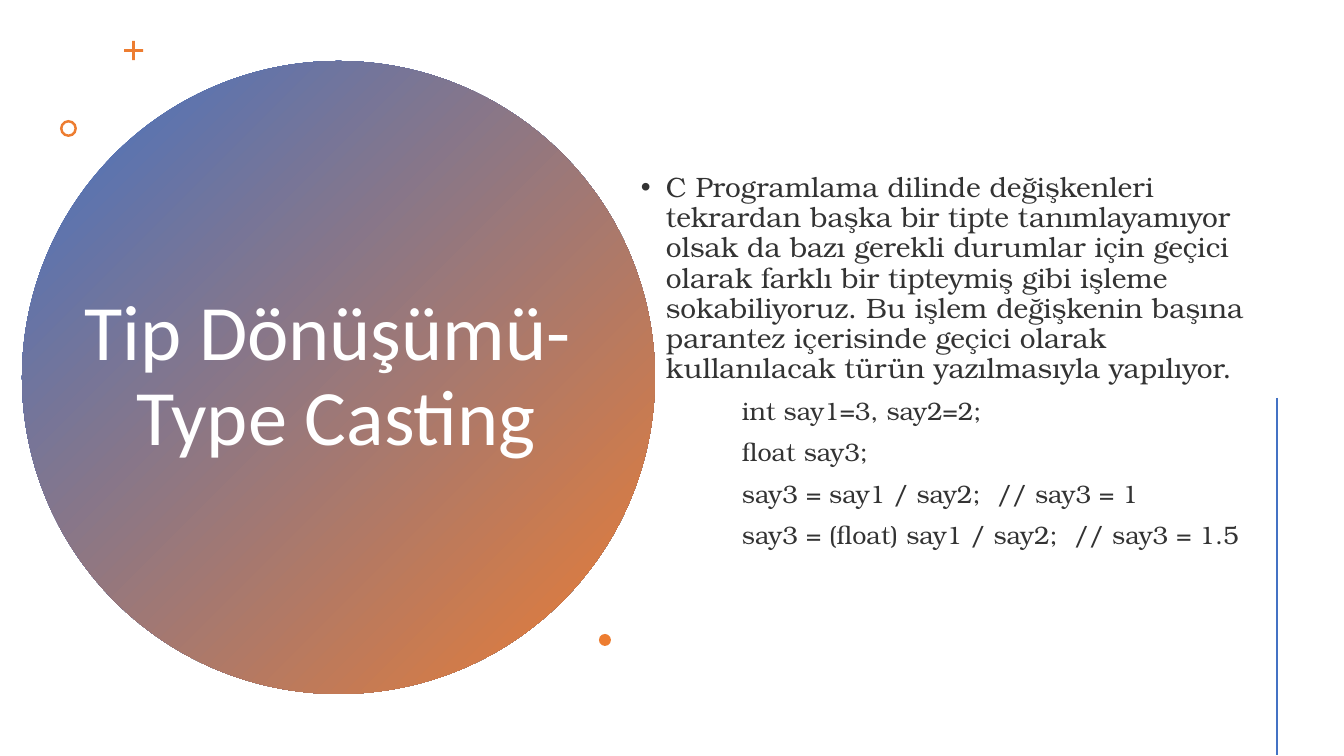
import lxml.etree
import pptx
import pptx.dml.color
import pptx.enum.shapes
import pptx.enum.text
import pptx.oxml.ns
import pptx.util

SHAPES = pptx.enum.shapes.MSO_SHAPE
ALIGN = pptx.enum.text.PP_ALIGN
BLUE, ORANGE, WHITE, INK = "4472C4", "ED7D31", "FFFFFF", "333333"
TITLE_FONT, BODY_FONT = "Calibri", "TeX Gyre Bonum"


def px(length):
    return pptx.util.Emu(round(length * 12192000 / 1344))


def color(hex_code):
    return pptx.dml.color.RGBColor.from_string(hex_code)


class CastingSlide:
    """Holds the style and the current slide, and adds each kind of element."""

    def __init__(self, deck):
        self.slide = deck.slides.add_slide(deck.slide_layouts[5])
        self.shapes = self.slide.shapes

    def shape(self, kind, left, top, size, fill=ORANGE, adjust=None):
        shape = self.shapes.add_shape(kind, px(left), px(top), px(size), px(size))
        shape.shadow.inherit = False
        shape.line.fill.background()
        if isinstance(fill, tuple):
            shape.fill.gradient()
            shape.fill.gradient_angle = 315
            for stop, position, shade in zip(shape.fill.gradient_stops, (0, 1), fill):
                stop.position = position
                stop.color.rgb = color(shade)
        else:
            shape.fill.solid()
            shape.fill.fore_color.rgb = color(fill)
        if adjust is not None:
            shape.adjustments[0] = adjust

    def line(self, start, end, shade, width):
        line = self.shapes.add_connector(
            pptx.enum.shapes.MSO_CONNECTOR.STRAIGHT, *map(px, start + end))
        line.line.color.rgb = color(shade)
        line.line.width = pptx.util.Pt(width)
        lxml.etree.SubElement(line._element.spPr, pptx.oxml.ns.qn("a:effectLst"))

    def frame(self, box, left, top, width, height):
        box.left, box.top, box.width, box.height = map(px, (left, top, width, height))
        frame = box.text_frame
        frame.word_wrap = True
        frame.auto_size = pptx.enum.text.MSO_AUTO_SIZE.NONE
        frame.vertical_anchor = pptx.enum.text.MSO_ANCHOR.MIDDLE
        return frame

    def run(self, paragraph, text, size, font, shade):
        run = paragraph.add_run()
        run.text = text
        run.font.size = pptx.util.Pt(size)
        run.font.name = font
        run.font.color.rgb = color(shade)

    def title(self, lines, *place):
        title = self.shapes.title
        self.shapes._spTree.append(title._element)
        paragraph = self.frame(title, *place).paragraphs[0]
        paragraph.alignment = ALIGN.CENTER
        paragraph.line_spacing = 0.9
        for number, text in enumerate(lines):
            if number:
                paragraph.add_line_break()
            self.run(paragraph, text, 56, TITLE_FONT, WHITE)

    def body(self, explanation, code, *place):
        frame = self.frame(self.shapes.add_textbox(0, 0, 0, 0), *place)
        for number, text in enumerate([explanation] + code):
            paragraph = frame.add_paragraph() if number else frame.paragraphs[0]
            paragraph.alignment = ALIGN.LEFT
            paragraph.line_spacing = 0.9
            paragraph.space_before = pptx.util.Pt(10)
            self.run(paragraph, text, 18 if number else 20, BODY_FONT, INK)
            properties = paragraph._p.get_or_add_pPr()
            properties.set("marL", str(px(101 if number else 25)))
            properties.set("indent", str(px(0 if number else -25)))
            if number == 0:
                for tag, key, value in (("a:buFont", "typeface", "Arial"),
                                        ("a:buChar", "char", "•")):
                    lxml.etree.SubElement(
                        properties, pptx.oxml.ns.qn(tag)).set(key, value)


def main():
    deck = pptx.Presentation()
    deck.slide_width, deck.slide_height = px(1344), px(756)
    casting = CastingSlide(deck)
    casting.shape(SHAPES.OVAL, 22, 61, 633, (BLUE, ORANGE))
    casting.title(["Tip Dönüşümü- ", "Type Casting"], 36, 142, 601, 471)
    casting.shape(SHAPES.CROSS, 124, 41, 19, adjust=0.43)
    casting.shape(SHAPES.DONUT, 60, 120, 17, adjust=0.15)
    casting.body(
        "C Programlama dilinde değişkenleri tekrardan başka bir tipte "
        "tanımlayamıyor olsak da bazı gerekli durumlar için geçici olarak "
        "farklı bir tipteymiş gibi işleme sokabiliyoruz. Bu işlem değişkenin "
        "başına parantez içerisinde geçici olarak kullanılacak türün "
        "yazılmasıyla yapılıyor.",
        ["int say1=3, say2=2;",
         "float say3;",
         "say3 = say1 / say2;  // say3 = 1",
         "say3 = (float) say1 / say2;  // say3 = 1.5"],
        631, 110, 655, 503)
    casting.shape(SHAPES.OVAL, 599, 634, 12)
    casting.line((1277, 398), (1277, 755), BLUE, 2)
    deck.save("out.pptx")


if __name__ == "__main__":
    main()
